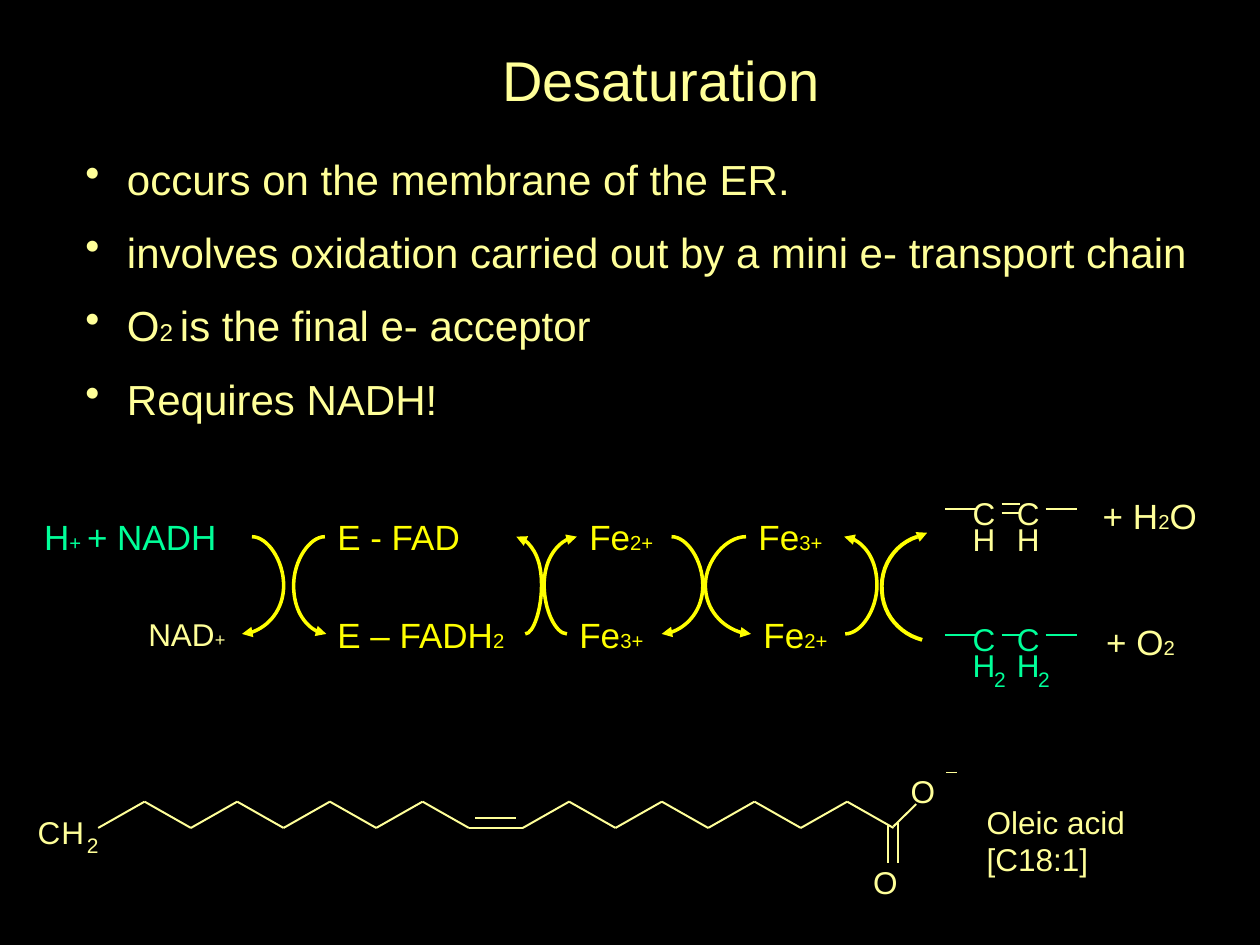
from dataclasses import dataclass

from lxml.etree import SubElement
from pptx import Presentation
from pptx.dml.color import RGBColor
from pptx.enum.shapes import MSO_CONNECTOR as Link
from pptx.enum.text import MSO_ANCHOR as Anchor, PP_ALIGN as Align
from pptx.oxml.ns import qn
from pptx.util import Cm, Pt

COLORS = {"background": "000000", "cream": "FFFF99", "yellow": "FFFF00", "green": "00FF99"}
SUB, SUPER = -25, 30
ARC_TOP, ARC_BOTTOM = 10.82, 12.78
CHAIN_LOW, CHAIN_HIGH, CHAIN_STEP = 16.69, 16.16, 0.934


@dataclass
class Label:
    """Text in cm; a paragraph is a list of (text, baseline) runs."""
    x: float
    y: float
    width: float
    runs: list
    size: int = 20
    color: str = "yellow"
    inset: float = 0.25


@dataclass
class Arc:
    """Half-turn arrow between the two rows, in cm."""
    start: float
    end: float
    bulge: float
    up: bool = False


@dataclass
class Bond:
    x1: float
    y1: float
    x2: float
    y2: float


def rgb(name: str) -> RGBColor:
    return RGBColor.from_string(COLORS[name])


def add_text(slide, x, y, width, height, paragraphs, *, size, color="cream", inset=0.25,
             align=Align.LEFT, anchor=Anchor.TOP, bullet=False, after=0):
    frame = slide.shapes.add_textbox(Cm(x), Cm(y), Cm(width), Cm(height)).text_frame
    frame.word_wrap = True
    frame.vertical_anchor = anchor
    frame.margin_left = frame.margin_right = Cm(inset)
    frame.margin_top = frame.margin_bottom = Cm(inset / 2)
    for index, runs in enumerate(paragraphs):
        paragraph = frame.add_paragraph() if index else frame.paragraphs[0]
        paragraph.alignment = align
        paragraph.space_after = Pt(after)
        if bullet:
            properties = paragraph._p.get_or_add_pPr()
            properties.set("marL", str(Cm(0.84)))
            properties.set("indent", str(-Cm(0.84)))
            SubElement(properties, qn("a:buChar")).set("char", "•")
        for text, baseline in runs:
            run = paragraph.add_run()
            run.text = text
            run.font.name, run.font.size = "Arial", Pt(size)
            run.font.color.rgb = rgb(color)
            if baseline:
                run._r.get_or_add_rPr().set("baseline", str(baseline))


def add_label(slide, label: Label) -> None:
    add_text(slide, label.x, label.y, label.width, 1.05, [label.runs],
             size=label.size, color=label.color, inset=label.inset)


def add_atom(slide, symbol: str, x: float, y: float, color="cream", size=18) -> None:
    add_label(slide, Label(x, y, 0.55, [(symbol, 0)], size, color, inset=0))


def add_line(slide, bond: Bond, color="cream", weight=1.13, kind=Link.STRAIGHT, arrow=False):
    line = slide.shapes.add_connector(kind, Cm(bond.x1), Cm(bond.y1), Cm(bond.x2), Cm(bond.y2))
    line.line.color.rgb = rgb(color)
    line.line.width = Pt(weight)
    if arrow:
        SubElement(line.line._get_or_add_ln(), qn("a:tailEnd")).set("type", "triangle")
    SubElement(line._element.spPr, qn("a:effectLst"))
    return line


def add_arc(slide, arc: Arc) -> None:
    y1, y2 = (ARC_BOTTOM, ARC_TOP) if arc.up else (ARC_TOP, ARC_BOTTOM)
    curve = add_line(slide, Bond(arc.start, y1, arc.end, y2), "yellow", 2, Link.CURVE, True)
    bend = round((arc.bulge - arc.start) / (arc.end - arc.start) * 100000)
    guide = SubElement(curve._element.spPr.find(".//" + qn("a:avLst")), qn("a:gd"))
    guide.set("name", "adj1")
    guide.set("fmla", f"val {bend}")


def bezier(points: list, t: float) -> tuple:
    weights = ((1 - t) ** 3, 3 * t * (1 - t) ** 2, 3 * t * t * (1 - t), t ** 3)
    return tuple(Cm(sum(w * p[axis] for w, p in zip(weights, points))) for axis in (0, 1))


def add_carbon_pair(slide, top: float, color: str, double: bool) -> None:
    for x in (19.61, 20.5):
        add_atom(slide, "C", x, top, color)
        add_atom(slide, "H", x, top + 0.52, color)
        if not double:
            add_atom(slide, "2", x + 0.43, top + 0.94, color, 12)
    middle = [0.2, 0.38] if double else [0.3]
    spans = [(19.05, 19.69, 0.3), (21.08, 21.72, 0.3)] + [(20.19, 20.57, dy) for dy in middle]
    for left, right, dy in spans:
        add_line(slide, Bond(left, top + dy, right, top + dy), color, 0.88)


def add_zigzag(slide, start: float, steps: int = 8) -> None:
    levels = (CHAIN_LOW, CHAIN_HIGH)
    for i in range(steps):
        add_line(slide, Bond(start + i * CHAIN_STEP, levels[i % 2],
                             start + (i + 1) * CHAIN_STEP, levels[(i + 1) % 2]))


BULLETS = [
    [("occurs on the membrane of the ER.", 0)],
    [("involves oxidation carried out by a mini e- transport chain", 0)],
    [("O", 0), ("2 ", SUB), ("is the final e- acceptor", 0)],
    [("Requires NADH!", 0)],
]
CARRIERS = [
    Label(0.64, 10.26, 4.45, [("H", 0), ("+ ", SUPER), ("+ NADH", 0)], color="green"),
    Label(2.74, 12.27, 2.3, [("NAD", 0), ("+", SUPER)], 18, "cream"),
    Label(6.55, 10.26, 3.86, [("E - FAD", 0)]),
    Label(6.55, 12.24, 4.2, [("E – FADH", 0), ("2", SUB)]),
    Label(11.63, 10.26, 2.1, [("Fe", 0), ("2+", SUPER)]),
    Label(11.43, 12.24, 2.1, [("Fe", 0), ("3+", SUPER)]),
    Label(15.04, 10.26, 2.1, [("Fe", 0), ("3+", SUPER)]),
    Label(15.14, 12.24, 2.1, [("Fe", 0), ("2+", SUPER)]),
    Label(22.23, 9.96, 2.5, [("+ H", 0), ("2", SUB), ("O", 0)], color="cream", inset=0),
    Label(22.3, 12.5, 2.5, [("+ O", 0), ("2", SUB)], color="cream", inset=0),
]
ARCS = [
    Arc(5.08, 4.88, 5.72), Arc(6.55, 6.58, 5.92),
    Arc(10.59, 10.41, 10.92, up=True), Arc(11.43, 11.63, 10.97, up=True),
    Arc(13.54, 13.34, 14.17), Arc(15.04, 15.14, 14.22),
    Arc(17.04, 17.02, 17.68, up=True),
]
LAST_ARC = [
    [(18.49, 10.82), (18.03, 10.97), (17.73, 11.43), (17.78, 11.94)],
    [(17.78, 11.94), (17.81, 12.4), (18.14, 12.78), (18.59, 12.9)],
]
ACID_BONDS = [
    Bond(9.45, CHAIN_LOW, 10.54, CHAIN_LOW), Bond(9.58, 16.48, 10.41, 16.48),
    Bond(17.91, 16.64, 17.91, 17.4), Bond(18.11, 16.59, 18.11, 17.4),
    Bond(18.01, 16.66, 18.47, 16.21),
]
ACID_ATOMS = [("C", 0.76, 16.38), ("H", 1.24, 16.38), ("O", 17.6, 17.4), ("O", 18.36, 15.57)]


def main() -> None:
    deck = Presentation()
    deck.slide_width, deck.slide_height = Cm(25.4), Cm(19.05)
    slide = deck.slides.add_slide(deck.slide_layouts[6])
    slide.background.fill.solid()
    slide.background.fill.fore_color.rgb = rgb("background")

    # Title and bullets
    add_text(slide, 1.9, 0, 22.86, 3.18, [[("Desaturation", 0)]], size=32,
             align=Align.CENTER, anchor=Anchor.MIDDLE)
    add_text(slide, 1.47, 2.97, 22.86, 5.84, BULLETS, size=24, bullet=True, after=13)

    # Electron transport chain
    for label in CARRIERS:
        add_label(slide, label)
    for arc in ARCS:
        add_arc(slide, arc)

    # Last arc, ending at the double bond
    points = [bezier(part, i / 12) for part in LAST_ARC for i in range(13)]
    builder = slide.shapes.build_freeform(*points[0], scale=1.0)
    builder.add_line_segments(points[1:], close=False)
    last_arc = builder.convert_to_shape()
    last_arc.shadow.inherit = False
    last_arc.fill.background()
    last_arc.line.color.rgb = rgb("yellow")
    last_arc.line.width = Pt(2.25)
    add_line(slide, Bond(18.39, 10.87, 18.69, 10.74), "yellow", 0.75, arrow=True)

    # Unsaturated and saturated carbon pairs
    add_carbon_pair(slide, 9.96, "cream", double=True)
    add_carbon_pair(slide, 12.5, "green", double=False)

    # Oleic acid
    for start in (1.98, 10.54):
        add_zigzag(slide, start)
    for bond in ACID_BONDS:
        add_line(slide, bond)
    for symbol, x, y in ACID_ATOMS:
        add_atom(slide, symbol, x, y)
    add_atom(slide, "2", 1.75, 16.79, size=12)
    add_line(slide, Bond(19.08, 15.57, 19.3, 15.57), weight=0.25)
    add_text(slide, 19.89, 16.18, 5, 1.52, [[("Oleic acid", 0)], [("[C18:1]", 0)]],
             size=18, inset=0)

    deck.save("out.pptx")


if __name__ == "__main__":
    main()
